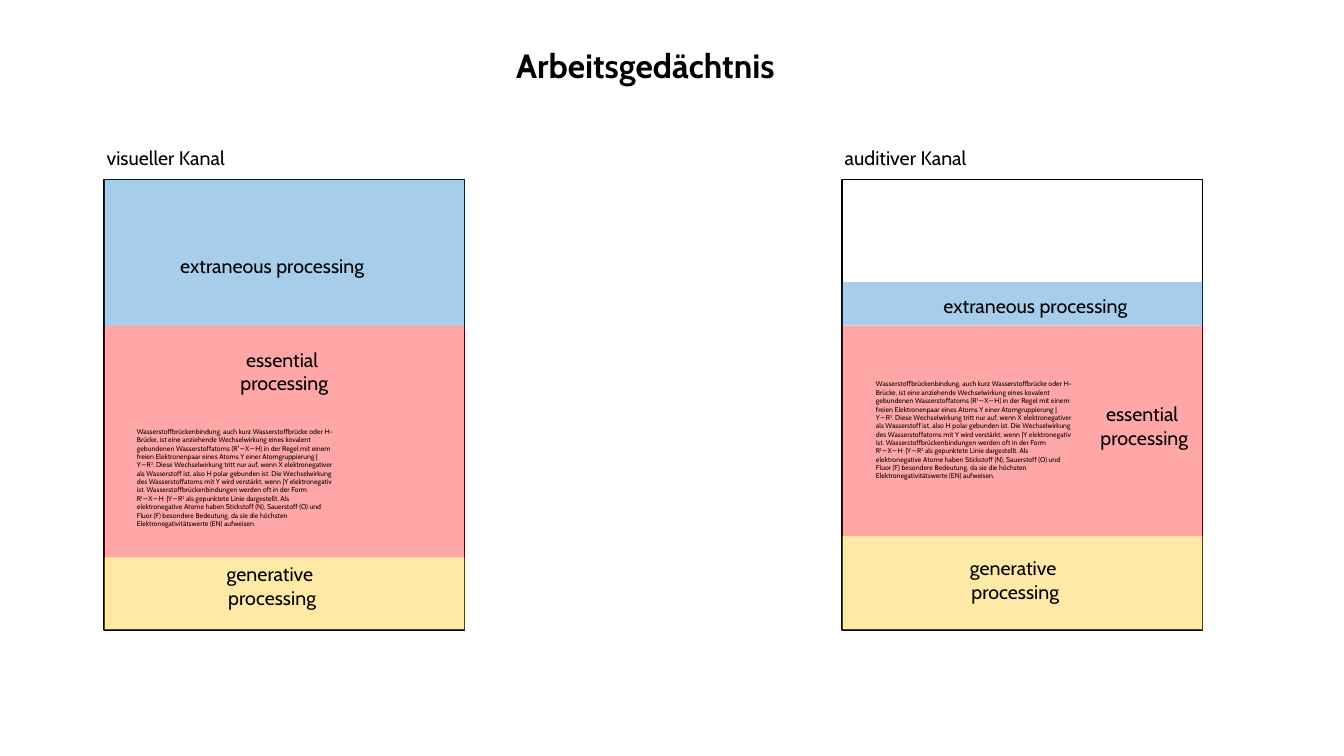
from lxml import etree
from pptx import Presentation
from pptx.dml.color import RGBColor
from pptx.enum.shapes import MSO_SHAPE as Shape
from pptx.enum.text import MSO_AUTO_SIZE as AutoSize, PP_ALIGN as Align
from pptx.oxml.ns import qn
from pptx.util import Inches, Pt

FONT = "Cabin"
COLORS = {"text": "000000", "generative": "FFC000",
          "essential": "FF0000", "extraneous": "0070C0"}
OPACITY = 35  # percent
TITLE = "Arbeitsgedächtnis"
# (text, raised above the baseline)
DEFINITION = [
    ("Wasserstoffbrückenbindung, auch kurz Wasserstoffbrücke oder H-Brücke, ist eine "
     "anziehende Wechselwirkung eines kovalent gebundenen Wasserstoffatoms (R", False),
    ("1", True),
    ("−X−H) in der Regel mit einem freien Elektronenpaar eines Atoms Y einer "
     "Atomgruppierung |Y−R", False),
    ("2", True),
    (". Diese Wechselwirkung tritt nur auf, wenn X elektronegativer als Wasserstoff ist, "
     "also H polar gebunden ist. Die Wechselwirkung des Wasserstoffatoms mit Y wird "
     "verstärkt, wenn |Y elektronegativ ist. Wasserstoffbrückenbindungen werden oft in "
     "der Form R", False),
    ("1", True), ("−X−H", False), ("…", True), ("|Y−R", False), ("2", True),
    (" als gepunktete Linie dargestellt. Als elektronegative Atome haben Stickstoff (N), "
     "Sauerstoff (O) und Fluor (F) besondere Bedeutung, da sie die höchsten "
     "Elektronegativitätswerte (EN) aufweisen.", False),
]
EXTRANEOUS = "extraneous processing"
ESSENTIAL = "essential \nprocessing"
GENERATIVE = "generative \nprocessing"

# All lengths count cells of a fine grid, 100 cells to the inch.
CELL = Inches(0.01)
SLIDE = (1333, 750)
FRAME_TOP, FRAME_WIDTH, FRAME_HEIGHT = 178, 358, 447
LABEL_WIDTH, LABEL_HEIGHT, LINE_HEIGHT, DEFINITION_HEIGHT = 216, 57, 34, 103

# Bands stack upwards from the frame's bottom.
# Labels: (text, column, row, width, height), from the frame's top left corner.
CHANNELS = [
    {"name": "visueller Kanal", "left": 103,
     "bands": {"generative": 72, "essential": 230, "extraneous": 145},
     "labels": [(EXTRANEOUS, 59, 69, LABEL_WIDTH, LABEL_HEIGHT),
                (ESSENTIAL, 71, 162, LABEL_WIDTH, LABEL_HEIGHT),
                (GENERATIVE, 59, 375, LABEL_WIDTH, LABEL_HEIGHT)],
     "definition": (23, 241)},
    {"name": "auditiver Kanal", "left": 835,
     "bands": {"generative": 93, "essential": 209, "extraneous": 43},
     "labels": [(ESSENTIAL, 192, 216, LABEL_WIDTH, LABEL_HEIGHT),
                (EXTRANEOUS, 0, 109, 384, LINE_HEIGHT),
                (GENERATIVE, 64, 369, LABEL_WIDTH, LABEL_HEIGHT)],
     "definition": (24, 194)},
]


def cells(*counts):
    return [count * CELL for count in counts]


def add_rectangle(page, left, top, width, height, color=None):
    """Add a translucent band, or an outlined frame if there is no color."""
    box = page.shapes.add_shape(Shape.RECTANGLE, *cells(left, top, width, height))
    box.shadow.inherit = False
    if color is None:
        box.fill.background()
        box.line.color.rgb = RGBColor.from_string(COLORS["text"])
        box.line.width = Pt(1)
        return
    box.line.fill.background()
    box.fill.solid()
    box.fill.fore_color.rgb = RGBColor.from_string(color)
    tint = box._element.spPr.find(".//" + qn("a:srgbClr"))
    etree.SubElement(tint, qn("a:alpha")).set("val", str(OPACITY * 1000))


def add_text(page, spans, left, top, width, height, size=14, bold=False, align=Align.LEFT):
    """Add a text box of (text, raised) spans; a line feed starts a paragraph."""
    frame = page.shapes.add_textbox(*cells(left, top, width, height)).text_frame
    frame.word_wrap = True
    frame.auto_size = AutoSize.SHAPE_TO_FIT_TEXT
    para = frame.paragraphs[0]
    para.alignment = align
    for text, raised in spans:
        for number, line in enumerate(text.split("\n")):
            if number:
                para = frame.add_paragraph()
                para.alignment = align
            span = para.add_run()
            span.text = line
            span.font.name, span.font.size, span.font.bold = FONT, Pt(size), bold
            span.font.color.rgb = RGBColor.from_string(COLORS["text"])
            if raised:
                span._r.get_or_add_rPr().set("baseline", "30000")


def add_channel(page, channel):
    left = channel["left"]
    add_rectangle(page, left, FRAME_TOP, FRAME_WIDTH, FRAME_HEIGHT)
    add_text(page, [(channel["name"], False)], left - 7, FRAME_TOP - 38,
             LABEL_WIDTH, LINE_HEIGHT)
    top = FRAME_TOP + FRAME_HEIGHT
    for kind, height in channel["bands"].items():
        top -= height
        add_rectangle(page, left, top, FRAME_WIDTH, height, COLORS[kind])
    for text, column, row, width, height in channel["labels"]:
        add_text(page, [(text, False)], left + column, FRAME_TOP + row,
                 width, height, align=Align.CENTER)
    column, row = channel["definition"]
    add_text(page, DEFINITION, left + column, FRAME_TOP + row,
             LABEL_WIDTH, DEFINITION_HEIGHT, size=5)


def main():
    deck = Presentation()
    deck.slide_width, deck.slide_height = cells(*SLIDE)
    page = deck.slides.add_slide(deck.slide_layouts[6])
    add_text(page, [(TITLE, False)], 502, 40, 311, 50, size=24, bold=True)
    for channel in CHANNELS:
        add_channel(page, channel)
    deck.save("out.pptx")


if __name__ == "__main__":
    main()
